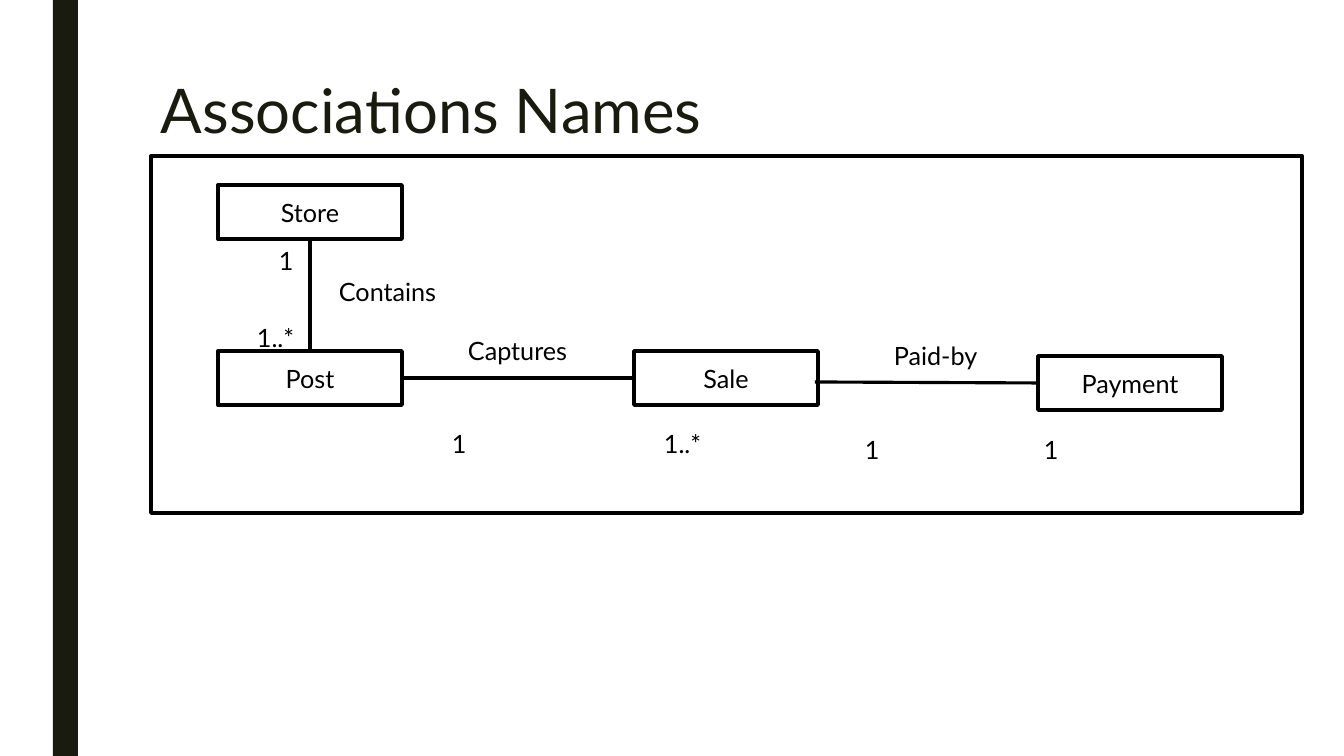
from lxml import etree
from pptx import Presentation
from pptx.dml.color import RGBColor
from pptx.enum.shapes import MSO_CONNECTOR as CONN, MSO_SHAPE as SHAPE
from pptx.enum.text import MSO_ANCHOR as ANCHOR, PP_ALIGN as ALIGN
from pptx.oxml.ns import qn
from pptx.util import Pt

PX = 914400 / 100.8
FONT, INK, BLACK, WHITE = "Lato", "191B0E", "000000", "FFFFFF"
TOP, LEFT, BOTTOM, RIGHT = range(4)
CLASS_W, CLASS_H = 184, 54
LABEL_H = 40


def px(*lengths):
    return [round(n * PX) for n in lengths]


def rgb(value):
    return RGBColor.from_string(value)


def write(sp, text, size=18, color=BLACK, align=ALIGN.LEFT, anchor=ANCHOR.TOP):
    tf = sp.text_frame
    tf.word_wrap = True
    tf.vertical_anchor = anchor
    p = tf.paragraphs[0]
    p.text = text
    p.alignment = align
    p.font.name, p.font.size = FONT, Pt(size)
    p.font.color.rgb = rgb(color)
    return p


def add_rect(slide, box, fill=None, line=None):
    sp = slide.shapes.add_shape(SHAPE.RECTANGLE, *px(*box))
    sp.shadow.inherit = False
    if fill:
        sp.fill.solid()
        sp.fill.fore_color.rgb = rgb(fill)
    else:
        sp.fill.background()
    if line:
        sp.line.color.rgb = rgb(line)
        sp.line.width = Pt(2.75)
    else:
        sp.line.fill.background()
    return sp


def add_text(slide, box, text, **style):
    return write(slide.shapes.add_textbox(*px(*box)), text, **style)


def add_class(slide, x, y, name):
    sp = add_rect(slide, (x, y, CLASS_W, CLASS_H), WHITE, BLACK)
    write(sp, name, align=ALIGN.CENTER, anchor=ANCHOR.MIDDLE)
    return sp


def add_association(slide, start, start_side, end, end_side=None):
    """Joins a class to another class, or to a bare point when no side is given."""
    x, y = (0, 0) if end_side is not None else px(*end)
    cxn = slide.shapes.add_connector(CONN.STRAIGHT, 0, 0, x, y)
    cxn.begin_connect(start, start_side)
    if end_side is not None:
        cxn.end_connect(end, end_side)
    cxn.line.color.rgb = rgb(BLACK)
    cxn.line.width = Pt(2.25)
    etree.SubElement(cxn._element.spPr, qn("a:effectLst"))


def add_heading(slide, x, y, w, h):
    p = add_text(slide, (x, y, w, h), "Associations Names", size=44, color=INK)
    p.line_spacing = 0.89


def add_diagram(slide, x, y, w, h):
    add_rect(slide, (x, y, w, h), line=BLACK)

    # Classes
    store, post, sale, payment = [
        add_class(slide, x + dx, y + dy, name)
        for dx, dy, name in [(67, 29, "Store"), (67, 195, "Post"),
                             (483, 195, "Sale"), (887, 200, "Payment")]]

    # Associations
    add_association(slide, store, BOTTOM, post, TOP)
    add_association(slide, sale, LEFT, post, RIGHT)
    add_association(slide, payment, LEFT, (x + 664, y + 226))

    # Multiplicities and association names
    for dx, dy, width, text in [
            (118, 84, 41, "1"), (96, 161, 84, "1..*"),
            (291, 267, 33, "1"), (503, 267, 94, "1..*"),
            (704, 273, 33, "1"), (883, 273, 33, "1"),
            (307, 174, 176, "Captures"), (733, 179, 176, "Paid-by"),
            (178, 115, 176, "Contains")]:
        add_text(slide, (x + dx, y + dy, width, LABEL_H), text)


def main():
    prs = Presentation()
    prs.slide_width, prs.slide_height = px(1344, 756)
    slide = prs.slides.add_slide(prs.slide_layouts[6])
    # Side bar
    add_rect(slide, (53, 0, 25, 756), INK)
    add_heading(slide, 151, 76, 1058, 163)
    add_diagram(slide, 151, 156, 1151, 357)
    prs.save("out.pptx")


if __name__ == "__main__":
    main()
